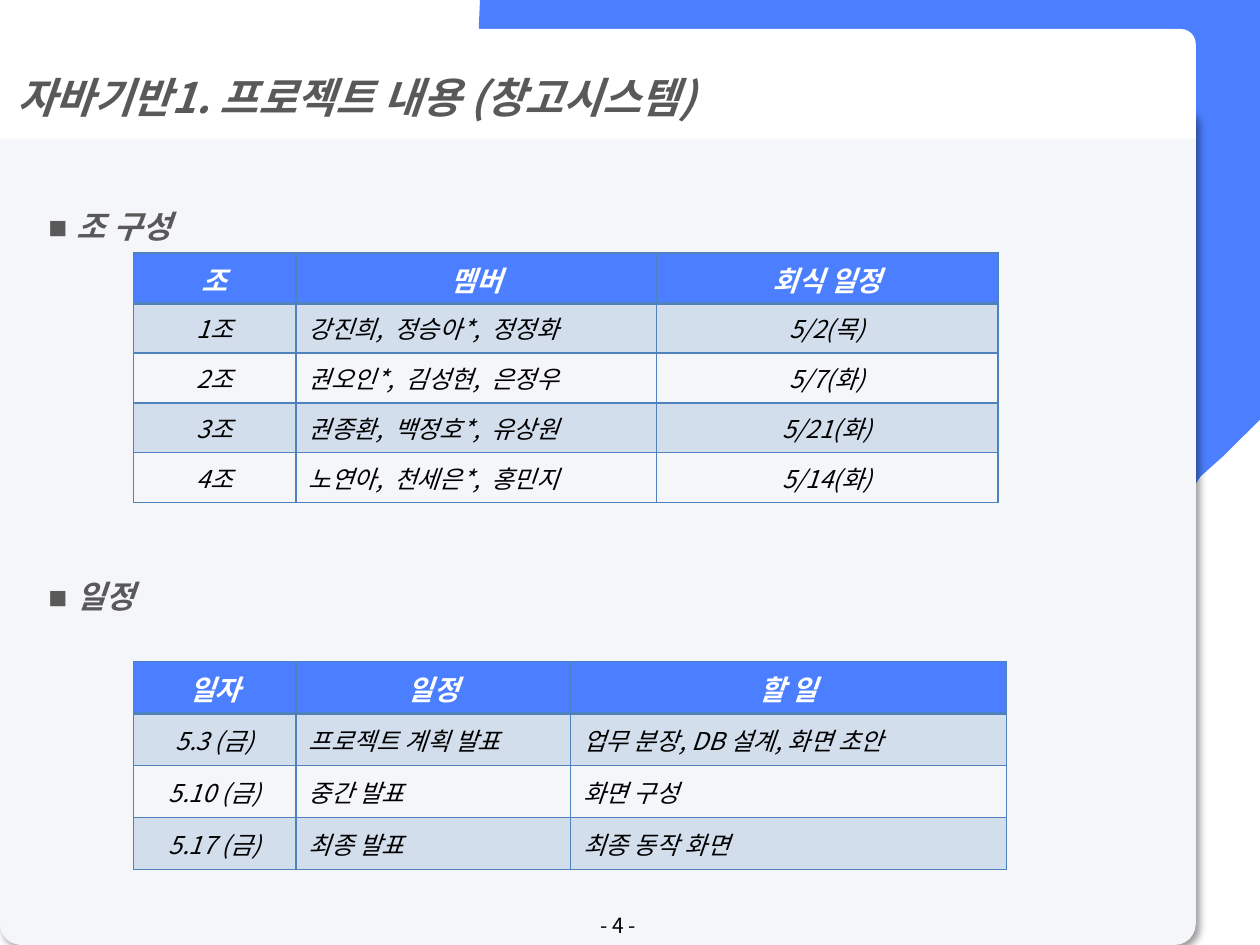
from lxml import etree
from pptx import Presentation
from pptx.dml.color import RGBColor
from pptx.enum.shapes import MSO_SHAPE
from pptx.enum.text import MSO_ANCHOR, PP_ALIGN
from pptx.oxml.ns import qn
from pptx.util import Inches, Pt

ROUND, TAB = MSO_SHAPE.ROUNDED_RECTANGLE, MSO_SHAPE.ROUND_2_SAME_RECTANGLE
MIDDLE, TOP = MSO_ANCHOR.MIDDLE, MSO_ANCHOR.TOP
LEFT, CENTER = PP_ALIGN.LEFT, PP_ALIGN.CENTER
FONT = "Noto Sans CJK KR"
HUES = {"blue": "4B7FFF", "panel": "F5F6F9", "white": "FFFFFF",
        "gray": "595959", "black": "000000", "steel": "4F81BD"}

# Grid: 100 columns by 75 rows over the slide
deck = Presentation()
deck.slide_width, deck.slide_height = Inches(10), Inches(7.5)
UNIT = deck.slide_width // 100


def place(*cells):
    return [round(c * UNIT) for c in cells]


def hue(name):
    return RGBColor.from_string(HUES[name])


def sub(node, tag, **attrs):
    return etree.SubElement(node, qn(tag), {k: str(v) for k, v in attrs.items()})


def paint(shape, name):
    shape.shadow.inherit = False
    shape.fill.solid()
    shape.fill.fore_color.rgb = hue(name)
    shape.line.fill.background()


def write(frame, text, size, color, bold=False, slant=False,
          align=LEFT, font=FONT, space=None):
    para = frame.paragraphs[0]
    para.alignment, para.line_spacing = align, space
    run = para.add_run()
    run.text = text
    face = run.font
    face.size, face.bold, face.italic, face.name = Pt(size), bold, slant, font
    face.color.rgb = hue(color)
    sub(run._r.get_or_add_rPr(), "a:ea", typeface=font)


def curve(a, b, c, d, steps=16):
    """Points along a cubic curve, without its start."""
    for i in range(1, steps + 1):
        t = i / steps
        s = 1 - t
        yield tuple(s**3 * p + 3 * s * s * t * q + 3 * s * t * t * r + t**3 * e
                    for p, q, r, e in zip(a, b, c, d))


# Blue ribbon behind the panel
def ribbon(slide):
    start = (100, 0)
    steps = [[(100, 33.3)], [(97.2, 36.1)], [(95.3, 37.8)], [(94.9, 38.4)],
             [(94.4, 38.9), (93.9, 39.5), (93.4, 40)], [(64.3, 69.2)],
             [(56.3, 77.1), (43.8, 77.6), (35.3, 70.7)], [(33.7, 69.2)],
             [(32.2, 67.6)], [(25.3, 59.1), (25.8, 46.5), (33.7, 38.6)],
             [(48.8, 23.5)], [(45.4, 20.1)],
             [(40.4, 15.1), (38, 8.7), (38, 2.2)], [(38.1, 0)]]
    dots = [start]
    for step in steps:
        dots += curve(dots[-1], *step) if len(step) == 3 else step
    pen = slide.shapes.build_freeform(*place(*start), scale=1.0)
    pen.add_line_segments([place(*dot) for dot in dots[1:]], close=True)
    paint(pen.convert_to_shape(), "blue")


# Gray panel with a soft shadow
def panel(slide, x, y, w, h):
    card = slide.shapes.add_shape(ROUND, *place(x, y, w, h))
    card.adjustments[0] = 0.025
    paint(card, "panel")
    glow = sub(card._element.spPr.find(qn("a:effectLst")), "a:outerShdw",
               blurRad=Pt(4), dist=Pt(3), dir=45 * 60000, algn="tl", rotWithShape=0)
    sub(sub(glow, "a:srgbClr", val=HUES["black"]), "a:alpha", val=40000)


# White header with the title on it
def header(slide, x, y, w, h, text):
    band = slide.shapes.add_shape(TAB, *place(x, y, w, h))
    band.adjustments[0], band.adjustments[1] = 0.137, 0
    paint(band, "white")
    title = slide.shapes.title
    title.left, title.top, title.width, title.height = place(x, y, w, h)
    band._element.addnext(title._element)
    frame = title.text_frame
    frame.vertical_anchor, frame.word_wrap = MIDDLE, True
    frame.margin_left = place(1.35)[0]
    write(frame, text, 24, "gray", True, True, space=1.5)


def border(cell, low):
    props = cell._tc.get_or_add_tcPr()
    for side in "LRTB":
        line = sub(props, "a:ln" + side, w=Pt(low if side == "B" else 1))
        sub(sub(line, "a:solidFill"), "a:srgbClr", val=HUES["steel"])


def tint(cell, row):
    if row and row % 2 == 0:
        cell.fill.background()
        return
    cell.fill.solid()
    cell.fill.fore_color.rgb = hue("steel" if row else "blue")
    if row:
        clr = cell._tc.tcPr.find(qn("a:solidFill"))[0]
        sub(clr, "a:alpha", val=20000)


# Heading with its table below
def section(slide, x, y, cols, high, rows, aligns, head, lift, wide):
    grid = slide.shapes.add_table(
        len(rows), len(cols), *place(x, y, sum(cols), high * len(rows))).table
    grid.horz_banding = False
    for col, width in zip(grid.columns, cols):
        col.width = place(width)[0]
    for r, texts in enumerate(rows):
        grid.rows[r].height = place(high)[0]
        for c, text in enumerate(texts):
            cell = grid.cell(r, c)
            border(cell, 1 if r else 2)
            tint(cell, r)
            cell.vertical_anchor = MIDDLE if r else TOP
            write(cell.text_frame, text, 14 if r else 16,
                  "black" if r else "white", not r, True,
                  aligns[c] if r else CENTER)
    box = slide.shapes.add_textbox(*place(x - 7.75, y - lift, wide, 5.1))
    box.text_frame.word_wrap = False
    write(box.text_frame, head, 18, "gray", True, True, font="Arial", space=1.5)


# Page number
def footer(slide, x, y, w, h, text):
    frame = slide.shapes.add_textbox(*place(x, y, w, h)).text_frame
    frame.word_wrap, frame.vertical_anchor = True, MIDDLE
    write(frame, text, 12, "black", align=CENTER)


TEAMS = [("조", "멤버", "회식 일정"),
         ("1조", "강진희,  정승아*,  정정화", "5/2(목)"),
         ("2조", "권오인*,  김성현,  은정우", "5/7(화)"),
         ("3조", "권종환,  백정호*,  유상원", "5/21(화)"),
         ("4조", "노연아,  천세은*,  홍민지", "5/14(화)")]
PLAN = [("일자", "일정", "할 일"),
        ("5.3 (금)", "프로젝트 계획 발표", "업무 분장, DB 설계, 화면 초안"),
        ("5.10 (금)", "중간 발표", "화면 구성"),
        ("5.17 (금)", "최종 발표", "최종 동작 화면")]

page = deck.slides.add_slide(deck.slide_layouts[5])
ribbon(page)
panel(page, 0, 8.3, 94.9, 66.7)
header(page, 0, 2.3, 94.9, 8.7, "자바기반1. 프로젝트 내용 (창고시스템)")
footer(page, 37.4, 72.1, 23.3, 2.6, "- 4 -")
section(page, 10.6, 20.1, (12.9, 28.6, 27.1), 3.96, TEAMS,
        (CENTER, LEFT, CENTER), "■ 조 구성", 5.7, 13.9)
section(page, 10.6, 52.5, (12.9, 21.8, 34.6), 4.13, PLAN,
        (CENTER, LEFT, LEFT), "■ 일정", 8.7, 10.5)
deck.save("out.pptx")
